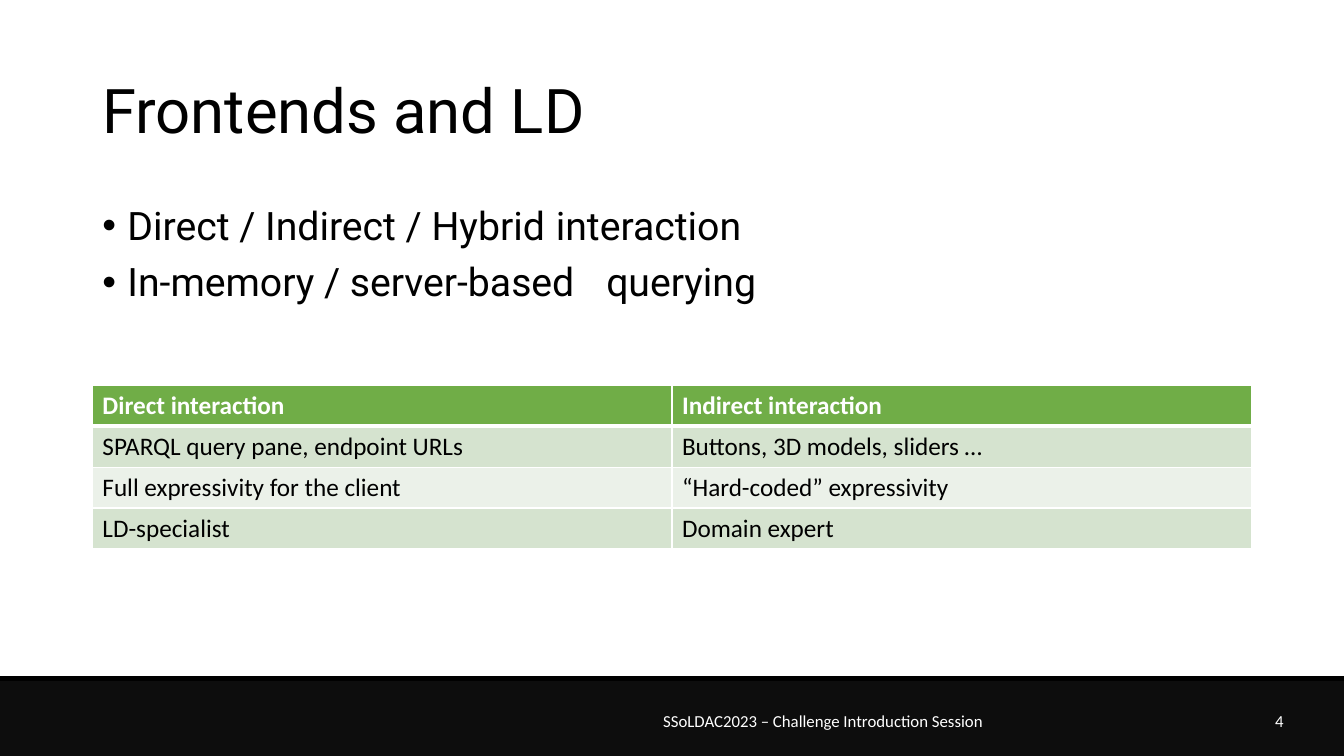
from dataclasses import dataclass
from lxml.etree import SubElement
from pptx import Presentation
from pptx.dml.color import RGBColor
from pptx.enum.shapes import MSO_CONNECTOR, MSO_SHAPE
from pptx.enum.text import MSO_ANCHOR, PP_ALIGN
from pptx.oxml.ns import qn
from pptx.util import Pt


@dataclass(frozen=True)
class Theme:
    """Colours, fonts and type sizes of the slide."""
    black: str = "000000"
    white: str = "FFFFFF"
    band: str = "0D0D0D"
    head: str = "70AD47"
    odd: str = "D5E3CF"
    even: str = "EBF1E9"
    display: str = "Roboto"
    body: str = "Calibri"
    title: int = 44
    list: int = 28
    cell: int = 18
    foot: int = 12


THEME = Theme()
WIDE, HIGH = 960, 540
LEFT, SPAN = 66, 828
BAND_TOP = 484.6
FOOT_TOP, FOOT_HIGH = 500.5, 28.75
POINTS = ["Direct / Indirect / Hybrid \tinteraction",
          "In-memory / server-based \tquerying"]
ROWS = [
    ("Direct interaction", "Indirect interaction"),
    ("SPARQL query pane, endpoint URLs", "Buttons, 3D models, sliders …"),
    ("Full expressivity for the client", "“Hard-coded” expressivity"),
    ("LD-specialist", "Domain expert"),
]


def rgb(code):
    """Turn a hex code into a colour."""
    return RGBColor.from_string(code)


def add_bullet(para, indent):
    """Give a paragraph a hanging round bullet."""
    props = para._p.get_or_add_pPr()
    props.set("marL", str(Pt(indent)))
    props.set("indent", str(-Pt(indent)))
    SubElement(props, qn("a:buFont")).set("typeface", "Arial")
    SubElement(props, qn("a:buChar")).set("char", "•")


def write(frame, lines, size, font=THEME.body, color=THEME.black, bold=False,
          align=PP_ALIGN.LEFT, spacing=None, gap=0, bullet=False):
    """Fill a text frame with formatted paragraphs."""
    for i, line in enumerate(lines):
        para = frame.add_paragraph() if i else frame.paragraphs[0]
        if bullet:
            add_bullet(para, 18)
        para.alignment = align
        para.line_spacing = spacing
        para.space_before = Pt(gap if i else 0)
        run = para.add_run()
        run.text = line
        run.font.name = font
        run.font.size = Pt(size)
        run.font.bold = bold
        run.font.color.rgb = rgb(color)


def add_text(slide, box, lines, size, anchor=MSO_ANCHOR.MIDDLE, **form):
    """Place a wrapped text box."""
    frame = slide.shapes.add_textbox(*map(Pt, box)).text_frame
    frame.word_wrap = True
    frame.vertical_anchor = anchor
    write(frame, lines, size, **form)


def add_band(slide):
    """Draw the dark footer band with its top rule."""
    band = slide.shapes.add_shape(MSO_SHAPE.RECTANGLE, 0, Pt(BAND_TOP),
                                  Pt(WIDE), Pt(HIGH - BAND_TOP))
    band.shadow.inherit = False
    band.fill.solid()
    band.fill.fore_color.rgb = rgb(THEME.band)
    band.line.fill.background()
    rule = slide.shapes.add_connector(MSO_CONNECTOR.STRAIGHT, 0, Pt(BAND_TOP),
                                      Pt(WIDE), Pt(BAND_TOP))
    rule.line.color.rgb = rgb(THEME.black)
    rule.line.width = Pt(3)
    SubElement(rule._element.spPr, qn("a:effectLst"))


def add_edge(cell, side, width):
    """Draw one white border of a cell."""
    edge = SubElement(cell._tc.get_or_add_tcPr(), qn(f"a:ln{side}"))
    edge.set("w", str(Pt(width)))
    fill = SubElement(edge, qn("a:solidFill"))
    SubElement(fill, qn("a:srgbClr")).set("val", THEME.white)


def add_grid(slide, rows, top, step):
    """Build the table with a header and banded rows."""
    count = len(rows[0])
    grid = slide.shapes.add_table(len(rows), count, Pt(LEFT), Pt(top),
                                  Pt(SPAN), Pt(step * len(rows))).table
    for r, row in enumerate(rows):
        grid.rows[r].height = Pt(step)
        shade = THEME.head if r == 0 else THEME.odd if r % 2 else THEME.even
        for c, text in enumerate(row):
            cell = grid.cell(r, c)
            for side in "LRTB":
                heavy = (r, side) in ((0, "B"), (1, "T"))
                add_edge(cell, side, 3 if heavy else 1)
            cell.fill.solid()
            cell.fill.fore_color.rgb = rgb(shade)
            write(cell.text_frame, [text], THEME.cell, bold=r == 0,
                  color=THEME.black if r else THEME.white)


def main():
    """Build and save the slide."""
    deck = Presentation()
    deck.slide_width, deck.slide_height = Pt(WIDE), Pt(HIGH)
    slide = deck.slides.add_slide(deck.slide_layouts[6])
    add_band(slide)
    add_text(slide, (LEFT, 28.75, SPAN, 104.4), ["Frontends and LD"],
             THEME.title, font=THEME.display, spacing=0.9)
    add_grid(slide, ROWS, 275.3, 29.2)
    add_text(slide, (304, FOOT_TOP, 568, FOOT_HIGH),
             ["SSoLDAC2023 – Challenge Introduction Session"],
             THEME.foot, color=THEME.white, align=PP_ALIGN.CENTER)
    add_text(slide, (872, FOOT_TOP, 52, FOOT_HIGH), ["4"],
             THEME.foot, color=THEME.white, align=PP_ALIGN.RIGHT)
    add_text(slide, (LEFT, 144, SPAN, 139), POINTS, THEME.list,
             anchor=MSO_ANCHOR.TOP, font=THEME.display, spacing=0.9,
             gap=10, bullet=True)
    deck.save("out.pptx")


if __name__ == "__main__":
    main()
